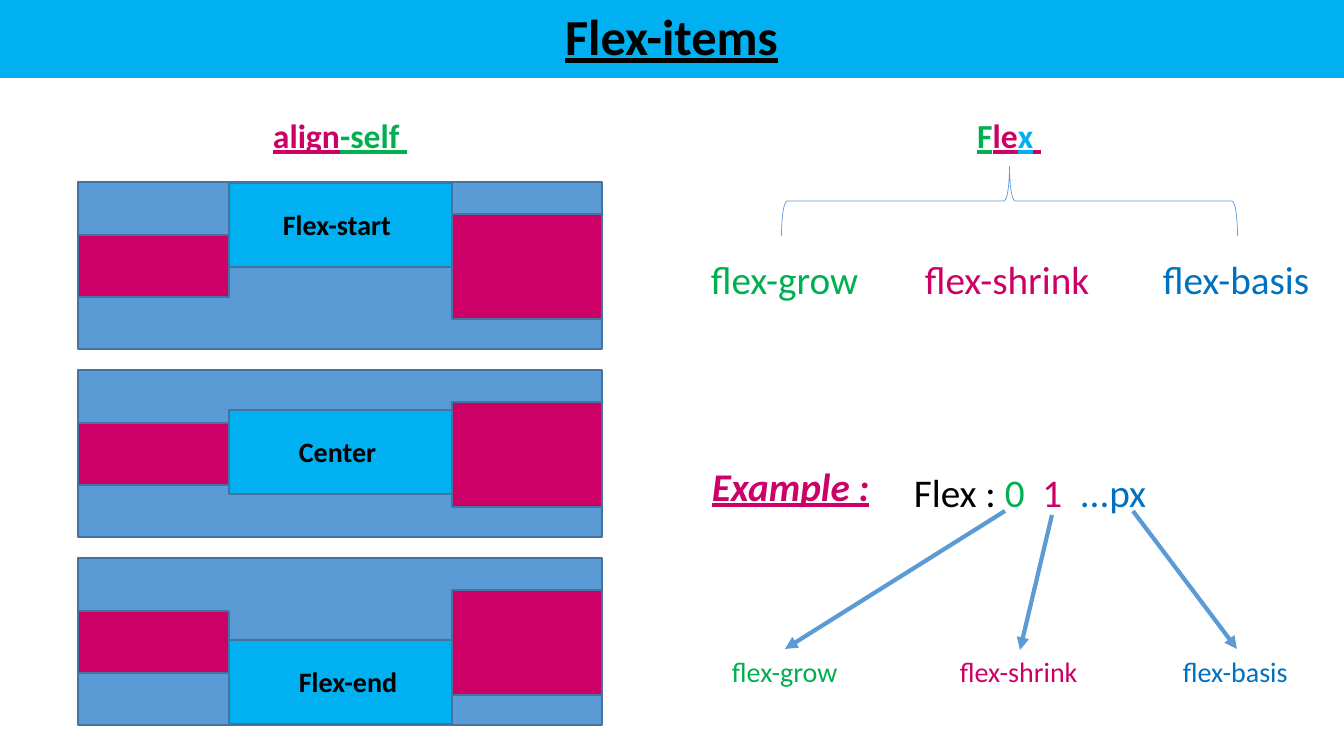
from lxml.etree import SubElement
from pptx import Presentation
from pptx.dml.color import RGBColor
from pptx.enum.shapes import MSO_CONNECTOR, MSO_SHAPE
from pptx.enum.text import MSO_ANCHOR, MSO_AUTO_SIZE, PP_ALIGN
from pptx.oxml.ns import qn
from pptx.util import Emu, Pt

SCALE = 914400 / 100.8
FONT = "Calibri"
BLACK = RGBColor(0x00, 0x00, 0x00)
SKY = RGBColor(0x00, 0xB0, 0xF0)
STEEL = RGBColor(0x5B, 0x9B, 0xD5)
EDGE = RGBColor(0x43, 0x73, 0x9E)
PINK = RGBColor(0xCC, 0x00, 0x66)
GREEN = RGBColor(0x00, 0xB0, 0x50)
BLUE = RGBColor(0x00, 0x70, 0xC0)


def px(*values):
    return [Emu(round(v * SCALE)) for v in values]


def add_run(p, text, size=20, color=BLACK, bold=False, italic=False,
            underline=False, spacing=0):
    r = p.add_run()
    r.text = text
    f = r.font
    f.name, f.size, f.color.rgb = FONT, Pt(size), color
    f.bold, f.italic, f.underline = bold, italic, underline
    if spacing:
        r._r.get_or_add_rPr().set("spc", str(spacing))


class Deck:
    def __init__(self, prs, s):
        self.prs, self.s = prs, s

    def fill_text(self, sp, runs, align, wrap, **style):
        tf = sp.text_frame
        tf.word_wrap = wrap
        tf.auto_size = MSO_AUTO_SIZE.NONE
        p = tf.paragraphs[0]
        p.alignment = align
        for text, color, *spacing in runs:
            add_run(p, text, color=color, spacing=sum(spacing), **style)
        return tf

    def title(self, text, box):
        sp = self.s.shapes.title
        sp.left, sp.top, sp.width, sp.height = px(*box)
        tf = self.fill_text(sp, [(text, BLACK)], PP_ALIGN.CENTER, False,
                            size=36, bold=True, underline=True)
        tf.vertical_anchor = MSO_ANCHOR.TOP
        self.s.shapes.element.append(sp.element)

    def text(self, runs, box, align=PP_ALIGN.LEFT, wrap=False, **style):
        sp = self.s.shapes.add_textbox(*px(*box))
        self.fill_text(sp, runs, align, wrap, **style)

    def shape(self, kind, box, fill=None, line=None, width=1):
        sp = self.s.shapes.add_shape(kind, *px(*box))
        sp.shadow.inherit = False
        if fill is None:
            sp.fill.background()
        else:
            sp.fill.solid()
            sp.fill.fore_color.rgb = fill
        if line is None:
            sp.line.fill.background()
        else:
            sp.line.color.rgb = line
            sp.line.width = Pt(width)
        return sp

    def rect(self, box, fill, line=EDGE):
        return self.shape(MSO_SHAPE.RECTANGLE, box, fill, line)

    def arrow(self, start, end):
        sp = self.s.shapes.add_connector(MSO_CONNECTOR.STRAIGHT, *px(*start, *end))
        sp.line.color.rgb = STEEL
        sp.line.width = Pt(3)
        SubElement(sp.line._get_or_add_ln(), qn("a:tailEnd"), type="triangle")
        SubElement(sp.element.spPr, qn("a:effectLst"))


prs = Presentation()
prs.slide_width, prs.slide_height = px(1344, 756)
s = prs.slides.add_slide(prs.slide_layouts[5])
deck = Deck(prs, s)

deck.rect((0, 0, 1344, 78), SKY, None)
deck.title("Flex-items", (553, 0, 237, 72))

headings = [
    (206, [("align", PINK), ("-self ", GREEN)]),
    (875, [("F", GREEN), ("le", PINK), ("x", SKY), (" ", PINK)]),
]
for left, runs in headings:
    deck.text(runs, (left, 110, 268, 50), PP_ALIGN.CENTER, True,
              size=24, bold=True, underline=True)

panels = [("Flex-start", 1, 273), ("Center", 40, 289), ("Flex-end", 82, 289)]
for i, (label, offset, label_left) in enumerate(panels):
    top = 182 + 188 * i
    deck.rect((78, top, 524, 167), STEEL)
    deck.rect((78, top + 53, 151, 62), PINK)
    deck.rect((229, top + offset, 223, 84), SKY)
    deck.rect((452, top + 32, 150, 105), PINK)
    deck.text([(label, BLACK)], (label_left, top + offset + 20, 143, 44),
              wrap=True, size=20, bold=True)

brace = deck.shape(MSO_SHAPE.LEFT_BRACE, (975, -27, 69, 456), line=STEEL, width=0.5)
brace.rotation = 90
brace.adjustments[0] = 0.08

parts = [
    ("flex-grow", GREEN, (701, 170), (722, 128), (1005, 511), (785, 649)),
    ("flex-shrink", PINK, (915, 184), (950, 138), (1052, 515), (1020, 650)),
    ("flex-basis", BLUE, (1153, 169), (1173, 127), (1133, 511), (1237, 649)),
]
for name, color, (left, width), (low_left, low_width), start, end in parts:
    deck.text([(name, color)], (left, 250, width, 57), size=28)
    deck.text([(name, color)], (low_left, 650, low_width, 44), size=20)
    deck.arrow(start, end)

deck.text([("Example :", PINK)], (702, 457, 179, 57),
          size=28, bold=True, italic=True, underline=True)
deck.text([("Flex : ", BLACK), ("0", GREEN), (" ", PINK, 630), ("1", PINK),
           (" ", PINK, 630), ("...px", BLUE)],
          (902, 463, 256, 57), PP_ALIGN.CENTER, size=28)

prs.save("out.pptx")
